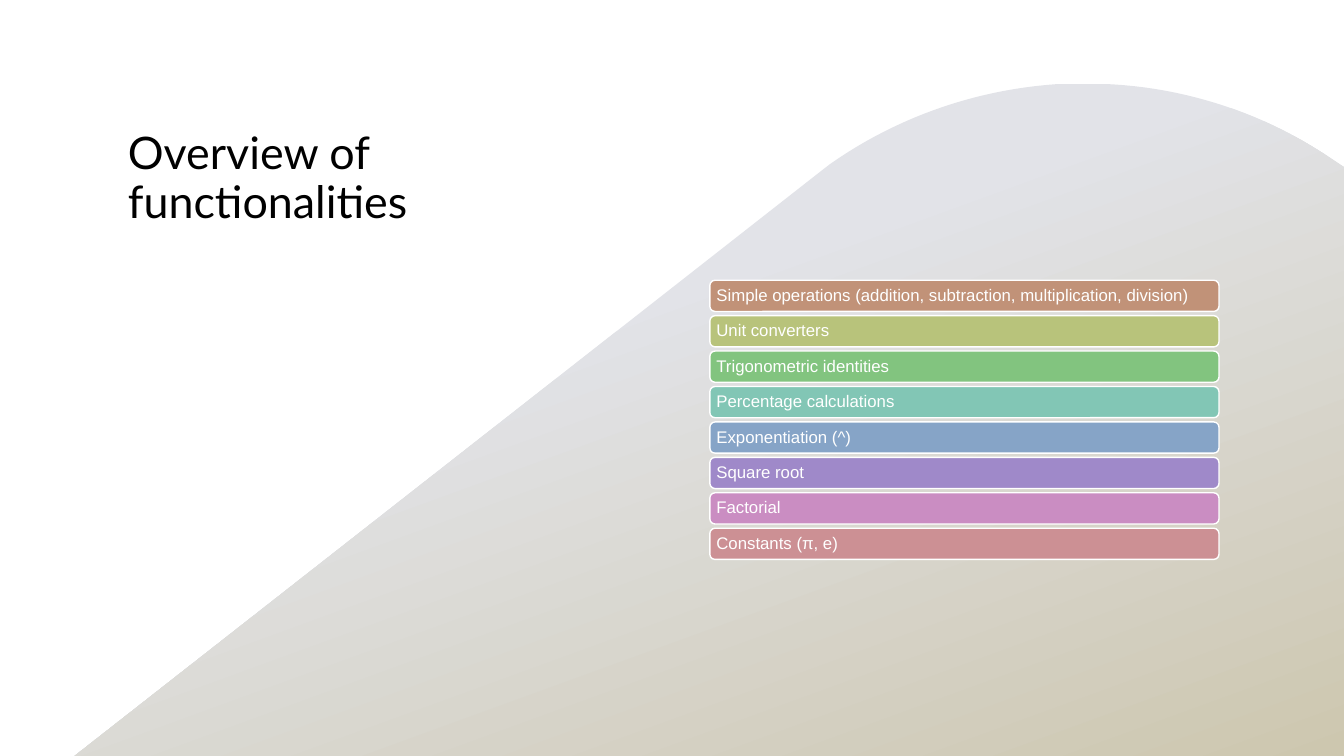
from pptx import Presentation
from pptx.dml.color import RGBColor
from pptx.enum.shapes import MSO_SHAPE
from pptx.enum.text import MSO_ANCHOR, PP_ALIGN
from pptx.util import Inches, Pt

WHITE = RGBColor(0xFF, 0xFF, 0xFF)
BLACK = RGBColor(0x00, 0x00, 0x00)
MIST = RGBColor(0xE2, 0xE3, 0xE8)
SAND = RGBColor(0xCD, 0xC7, 0xAF)
CLAY = RGBColor(0xC1, 0x92, 0x78)
OLIVE = RGBColor(0xB8, 0xC3, 0x7B)
GREEN = RGBColor(0x82, 0xC4, 0x7F)
TEAL = RGBColor(0x82, 0xC6, 0xB5)
BLUE = RGBColor(0x86, 0xA4, 0xC7)
VIOLET = RGBColor(0x9F, 0x89, 0xC9)
ORCHID = RGBColor(0xCA, 0x8D, 0xC2)
ROSE = RGBColor(0xCC, 0x90, 0x94)

FUNCTIONALITIES = [
    ("Simple operations (addition, subtraction, multiplication, division)", CLAY),
    ("Unit converters", OLIVE),
    ("Trigonometric identities", GREEN),
    ("Percentage calculations", TEAL),
    ("Exponentiation (^)", BLUE),
    ("Square root", VIOLET),
    ("Factorial", ORCHID),
    ("Constants (π, e)", ROSE),
]
FIRST_TOP, LAST_TOP = 2.78, 5.24

# Each step holds one end point, or two control points and an end point.
HILL_START = (10.83, 0.83)
HILL_STEPS = [
    [(11.66, 0.84), (12.48, 1.09), (13.18, 1.56)],
    [(13.33, 1.66)],
    [(13.33, 7.5)],
    [(0.74, 7.5)],
    [(8.14, 1.7)],
    [(8.23, 1.63)],
    [(8.94, 1.13), (9.76, 0.87), (10.57, 0.83)],
    [(10.66, 0.83), (10.74, 0.83), (10.83, 0.83)],
]


def bezier(p0, p1, p2, p3, count=24):
    """Return points along a cubic curve, without its start."""
    points = []
    for i in range(1, count + 1):
        t = i / count
        u = 1 - t
        weights = (u ** 3, 3 * u * u * t, 3 * u * t * t, t ** 3)
        points.append(tuple(
            sum(w * c for w, c in zip(weights, axis))
            for axis in zip(p0, p1, p2, p3)
        ))
    return points


def set_all(obj, values):
    for name, value in values.items():
        setattr(obj, name, value)


class SlideBuilder:
    INSET = Inches(0.05)
    TITLE_FONT = {"name": "Lato", "size": Pt(32)}
    BAR_FONT = {"name": "Arial", "size": Pt(12)}
    PARAGRAPH = {"line_spacing": 0.9, "alignment": PP_ALIGN.LEFT}
    BAR_FRAME = {
        "word_wrap": True, "vertical_anchor": MSO_ANCHOR.MIDDLE,
        "margin_left": INSET, "margin_right": INSET,
        "margin_top": INSET, "margin_bottom": INSET,
    }
    TITLE_FRAME = {"word_wrap": True, "vertical_anchor": MSO_ANCHOR.TOP}

    def __init__(self, slide):
        self.shapes = slide.shapes

    def add_text(self, s, text, frame, font, color):
        tf = s.text_frame
        set_all(tf, frame)
        p = tf.paragraphs[0]
        set_all(p, self.PARAGRAPH)
        r = p.add_run()
        r.text = text
        set_all(r.font, font)
        r.font.color.rgb = color

    def hill(self, start, steps):
        points = [start]
        for step in steps:
            points += bezier(points[-1], *step) if len(step) == 3 else step
        points = [(Inches(x), Inches(y)) for x, y in points]
        fb = self.shapes.build_freeform(*points[0])
        fb.add_line_segments(points[1:], close=True)
        s = fb.convert_to_shape()
        s.shadow.inherit = False
        s.line.fill.background()
        s.fill.gradient()
        s.fill.gradient_angle = 290
        for stop, position, color in zip(s.fill.gradient_stops, (0.37, 1), (MIST, SAND)):
            stop.position = position
            stop.color.rgb = color

    def title(self, text, left, top, width, height):
        s = self.shapes.add_textbox(*map(Inches, (left, top, width, height)))
        self.add_text(s, text, self.TITLE_FRAME, self.TITLE_FONT, BLACK)

    def bar(self, text, color, left, top, width, height):
        s = self.shapes.add_shape(
            MSO_SHAPE.ROUNDED_RECTANGLE, *map(Inches, (left, top, width, height)))
        s.shadow.inherit = False
        s.fill.solid()
        s.fill.fore_color.rgb = color
        s.line.color.rgb = WHITE
        s.line.width = Pt(1)
        self.add_text(s, text, self.BAR_FRAME, self.BAR_FONT, WHITE)


def main():
    prs = Presentation()
    set_all(prs, {"slide_width": Inches(13.33), "slide_height": Inches(7.5)})
    builder = SlideBuilder(prs.slides.add_slide(prs.slide_layouts[6]))
    builder.hill(HILL_START, HILL_STEPS)
    builder.title("Overview of functionalities", 1.17, 1.25, 4.12, 2.5)
    pitch = (LAST_TOP - FIRST_TOP) / (len(FUNCTIONALITIES) - 1)
    for i, (text, color) in enumerate(FUNCTIONALITIES):
        builder.bar(text, color, 7.04, FIRST_TOP + i * pitch, 5.05, 0.31)
    prs.save("out.pptx")


if __name__ == "__main__":
    main()
